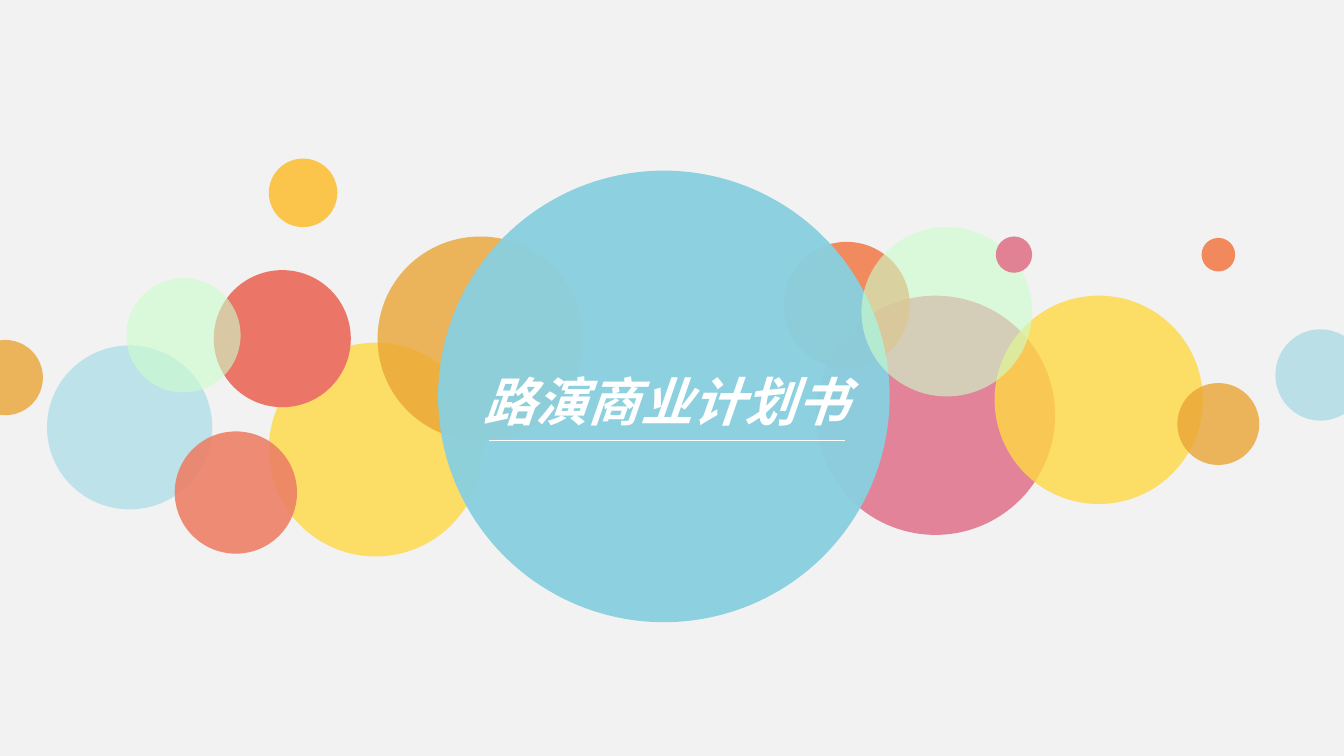
from lxml import etree
from pptx import Presentation
from pptx import util as u
from pptx.dml.color import RGBColor
from pptx.enum import shapes, text
from pptx.oxml import ns

FONT = "Noto Sans CJK SC"
TITLE_FORMAT = {"name": FONT, "size": u.Pt(28), "bold": True, "italic": True}
FRAME_FORMAT = {
    "word_wrap": False,
    "auto_size": text.MSO_AUTO_SIZE.SHAPE_TO_FIT_TEXT,
    "margin_left": u.Inches(0.1),
    "margin_right": u.Inches(0.1),
    "margin_top": u.Inches(0.05),
    "margin_bottom": u.Inches(0.05),
}

BACK_BUBBLES = [
    (2, 2.55, 1.59, 1.59, "FFD842", 80),
    (9.49, 2.45, 0.67, 0.68, "86CDDB", 50),
    (2, 1.18, 0.51, 0.51, "FBC44A", 100),
    (8.94, 1.77, 0.25, 0.25, "F2895C", 100),
    (6.07, 2.2, 1.78, 1.78, "DB3D63", 61),
    (7.4, 2.2, 1.55, 1.55, "FFD842", 80),
    (1.59, 2.01, 1.02, 1.02, "EB7567", 100),
    (5.83, 1.8, 0.94, 0.94, "F3703B", 80),
    (2.81, 1.76, 1.53, 1.52, "EAA434", 80),
    (3.26, 1.27, 3.36, 3.36, "88D0E0", 95),
    (0.35, 2.57, 1.23, 1.22, "B2DFE8", 80),
    (6.41, 1.69, 1.27, 1.26, "CCFFCC", 61),
    (7.41, 1.76, 0.27, 0.27, "E28194", 100),
]
FRONT_BUBBLES = [
    (1.3, 3.21, 0.91, 0.91, "ED8067", 90),
    (-0.24, 2.53, 0.56, 0.56, "EAA434", 80),
    (0.94, 2.07, 0.85, 0.85, "CCFFCC", 61),
    (8.76, 2.85, 0.61, 0.61, "EAA434", 80),
]


def apply_format(target, values):
    for name, value in values.items():
        setattr(target, name, value)


def paint(fill, colour, opacity=100):
    fill.solid()
    fill.fore_color.rgb = RGBColor.from_string(colour)
    if opacity < 100:
        element = fill._xPr.find(".//" + ns.qn("a:srgbClr"))
        etree.SubElement(element, ns.qn("a:alpha"), val=str(opacity * 1000))


def add_bubble(page, left, top, width, height, colour, opacity):
    place = map(u.Inches, (left, top, width, height))
    bubble = page.shapes.add_shape(shapes.MSO_SHAPE.OVAL, *place)
    bubble.shadow.inherit = False
    bubble.line.fill.background()
    paint(bubble.fill, colour, opacity)


def add_title(page, wording, left, top, width, height):
    box = page.shapes.add_textbox(*map(u.Inches, (left, top, width, height)))
    apply_format(box.text_frame, FRAME_FORMAT)
    span = box.text_frame.paragraphs[0].add_run()
    span.text = wording
    apply_format(span.font, TITLE_FORMAT)
    paint(span.font.fill, "FFFFFF")
    etree.SubElement(span.font._element, ns.qn("a:ea"), typeface=FONT)


def add_rule(page, left, right, top, colour, weight):
    ends = map(u.Inches, (left, top, right, top))
    rule = page.shapes.add_connector(shapes.MSO_CONNECTOR.STRAIGHT, *ends)
    paint(rule.line.fill, colour)
    rule.line.width = u.Pt(weight)
    etree.SubElement(rule._element.spPr, ns.qn("a:effectLst"))


def main():
    deck = Presentation()
    deck.slide_width = u.Inches(10)
    deck.slide_height = u.Inches(10 * 9 / 16)
    page = deck.slides.add_slide(deck.slide_layouts[6])
    paint(page.background.fill, "F2F2F2")
    for bubble in BACK_BUBBLES:
        add_bubble(page, *bubble)
    add_title(page, "路演商业计划书", 3.5, 2.7, 2.92, 0.57)
    for bubble in FRONT_BUBBLES:
        add_bubble(page, *bubble)
    add_rule(page, 3.64, 6.29, 3.28, "FFFFFF", 0.5)
    deck.save("out.pptx")


if __name__ == "__main__":
    main()
